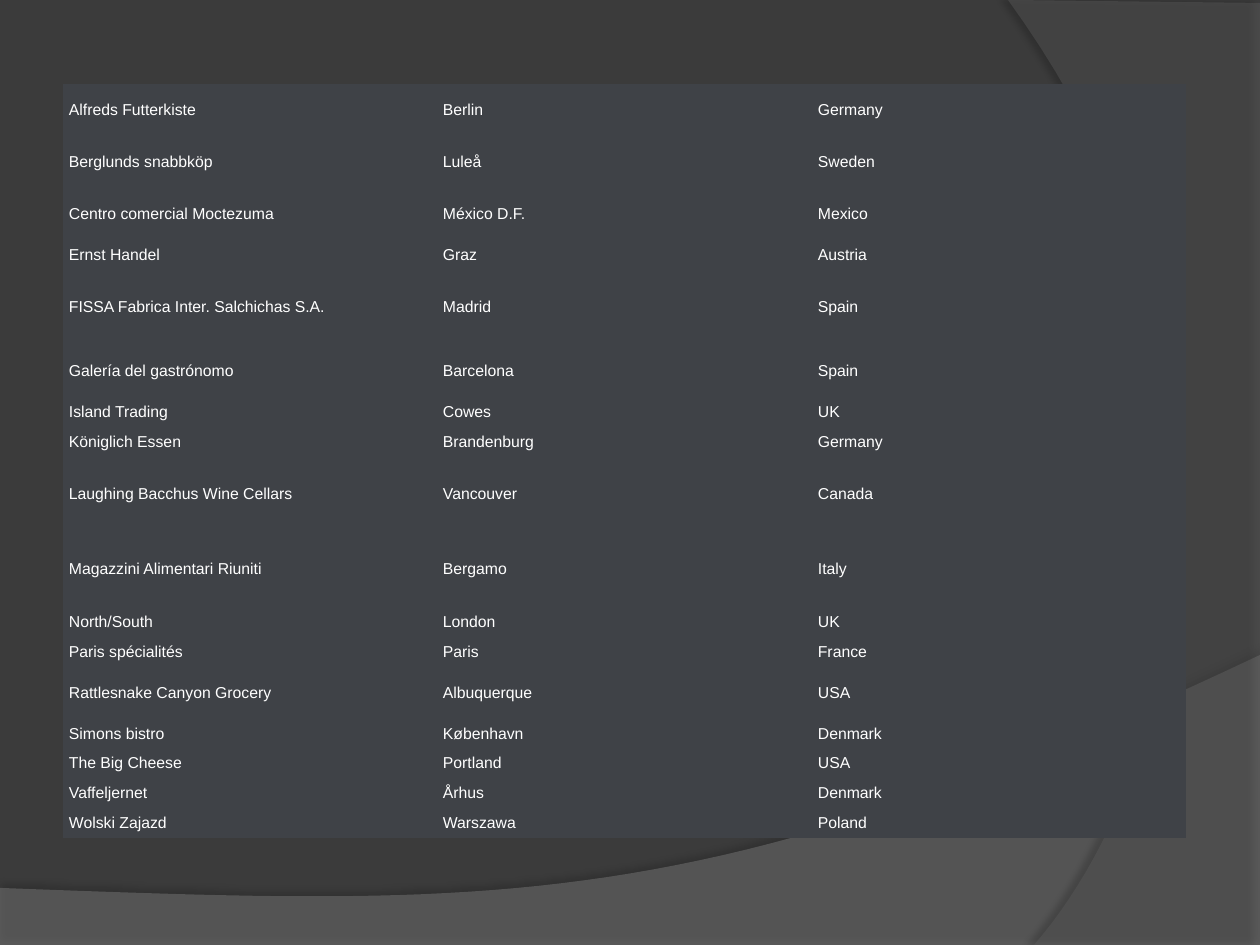
from dataclasses import dataclass

import lxml.etree
import pptx
import pptx.dml.color
import pptx.enum.text
import pptx.oxml.ns
import pptx.util

EMU_PER_PX = 914400 / 126
SLIDE_SIZE = (1260, 945)
CURVE_STEPS = 48
NO_GRID_STYLE = "{2D5ABB26-0587-4C30-8999-92F81FD0307C}"
COLORS = {
    "background": "3B3B3B",
    "wave": "7F7F7F",
    "ribbon": "5E5E5E",
    "shadow": "000000",
    "cell": "3F4247",
    "text": "FFFFFF",
}

Point = tuple[float, float]


@dataclass(frozen=True)
class Swoosh:
    """Straight corners closed by one Bezier curve from the last corner."""
    color: str
    opacity: int
    corners: tuple[Point, ...]
    curve: tuple[Point, Point, Point]
    shadow_opacity: int
    shadow_blur: float
    shadow_distance: float
    shadow_angle: int


@dataclass(frozen=True)
class Customer:
    company: str
    city: str
    country: str
    height: int


SWOOSHES = (
    Swoosh("wave", 45, ((0, 888), (0, 945), (1260, 945), (1260, 655)),
           ((704, 919), (493, 906), (0, 888)), 35, 4, 3.5, 270),
    Swoosh("ribbon", 40, ((1260, 3), (1260, 945), (1034, 945)),
           ((1178, 780), (1283, 378), (1008, 0)), 45, 4, 4, 180),
)

TABLE_LEFT, TABLE_TOP = 63, 84
COLUMN_WIDTHS = (374, 375, 374)
LOW, MIDDLE, TALL = 30, 52, 75
CUSTOMERS = (
    Customer("Alfreds Futterkiste", "Berlin", "Germany", MIDDLE),
    Customer("Berglunds snabbköp", "Luleå", "Sweden", MIDDLE),
    Customer("Centro comercial Moctezuma", "México D.F.", "Mexico", MIDDLE),
    Customer("Ernst Handel", "Graz", "Austria", LOW),
    Customer("FISSA Fabrica Inter. Salchichas S.A.", "Madrid", "Spain", TALL),
    Customer("Galería del gastrónomo", "Barcelona", "Spain", MIDDLE),
    Customer("Island Trading", "Cowes", "UK", LOW),
    Customer("Königlich Essen", "Brandenburg", "Germany", LOW),
    Customer("Laughing Bacchus Wine Cellars", "Vancouver", "Canada", TALL),
    Customer("Magazzini Alimentari Riuniti", "Bergamo", "Italy", TALL),
    Customer("North/South", "London", "UK", LOW),
    Customer("Paris spécialités", "Paris", "France", LOW),
    Customer("Rattlesnake Canyon Grocery", "Albuquerque", "USA", MIDDLE),
    Customer("Simons bistro", "København", "Denmark", LOW),
    Customer("The Big Cheese", "Portland", "USA", LOW),
    Customer("Vaffeljernet", "Århus", "Denmark", LOW),
    Customer("Wolski Zajazd", "Warszawa", "Poland", LOW),
)


def px(length: float) -> pptx.util.Emu:
    return pptx.util.Emu(round(length * EMU_PER_PX))


def paint(fill, color: str) -> None:
    fill.solid()
    fill.fore_color.rgb = pptx.dml.color.RGBColor.from_string(COLORS[color])


def add_child(parent, tag: str, **attributes):
    child = lxml.etree.SubElement(parent, pptx.oxml.ns.qn(tag))
    for key, value in attributes.items():
        child.set(key, str(value))
    return child


def add_alpha(color_element, percent: int) -> None:
    add_child(color_element, "a:alpha", val=percent * 1000)


def bezier(start: Point, curve: tuple[Point, Point, Point]) -> list[Point]:
    """Points along a cubic Bezier curve, without its start."""
    points = []
    for step in range(1, CURVE_STEPS + 1):
        t = step / CURVE_STEPS
        weights = ((1 - t) ** 3, 3 * t * (1 - t) ** 2, 3 * t * t * (1 - t), t ** 3)
        points.append(tuple(
            sum(weight * point[axis] for weight, point in zip(weights, (start, *curve)))
            for axis in (0, 1)))
    return points


def draw_swoosh(slide, swoosh: Swoosh) -> None:
    outline = [*swoosh.corners, *bezier(swoosh.corners[-1], swoosh.curve)]
    start, *rest = [(px(x), px(y)) for x, y in outline]
    builder = slide.shapes.build_freeform(*start)
    builder.add_line_segments(rest, close=True)
    shape = builder.convert_to_shape()
    paint(shape.fill, swoosh.color)
    shape.line.fill.background()
    shape.shadow.inherit = False

    properties = shape.element.spPr
    add_alpha(properties.find(".//" + pptx.oxml.ns.qn("a:srgbClr")), swoosh.opacity)
    shadow = add_child(
        properties.find(pptx.oxml.ns.qn("a:effectLst")), "a:outerShdw",
        blurRad=pptx.util.Pt(swoosh.shadow_blur),
        dist=pptx.util.Pt(swoosh.shadow_distance),
        dir=swoosh.shadow_angle * 60000, rotWithShape=0)
    add_alpha(add_child(shadow, "a:srgbClr", val=COLORS["shadow"]), swoosh.shadow_opacity)


def fill_cell(cell, text: str) -> None:
    paint(cell.fill, "cell")
    cell.vertical_anchor = pptx.enum.text.MSO_ANCHOR.MIDDLE
    cell.margin_left = cell.margin_right = px(6)
    cell.margin_top = cell.margin_bottom = px(3)
    run = cell.text_frame.paragraphs[0].add_run()
    run.text = text
    run.font.name = "Arial"
    run.font.size = pptx.util.Pt(9)
    paint(run.font.fill, "text")


def draw_customers(slide, customers: tuple[Customer, ...]) -> None:
    table = slide.shapes.add_table(
        len(customers), len(COLUMN_WIDTHS), px(TABLE_LEFT), px(TABLE_TOP),
        px(sum(COLUMN_WIDTHS)), px(sum(c.height for c in customers))).table
    table.first_row = table.horz_banding = False
    style = table._tbl.tblPr.find(pptx.oxml.ns.qn("a:tableStyleId"))
    style.text = NO_GRID_STYLE
    for column, width in zip(table.columns, COLUMN_WIDTHS):
        column.width = px(width)
    for row, customer in zip(table.rows, customers):
        row.height = px(customer.height)
        values = (customer.company, customer.city, customer.country)
        for cell, value in zip(row.cells, values):
            fill_cell(cell, value)


def main() -> None:
    deck = pptx.Presentation()
    deck.slide_width, deck.slide_height = map(px, SLIDE_SIZE)
    slide = deck.slides.add_slide(deck.slide_layouts[6])
    paint(slide.background.fill, "background")
    for swoosh in SWOOSHES:
        draw_swoosh(slide, swoosh)
    draw_customers(slide, CUSTOMERS)
    deck.save("out.pptx")


if __name__ == "__main__":
    main()
